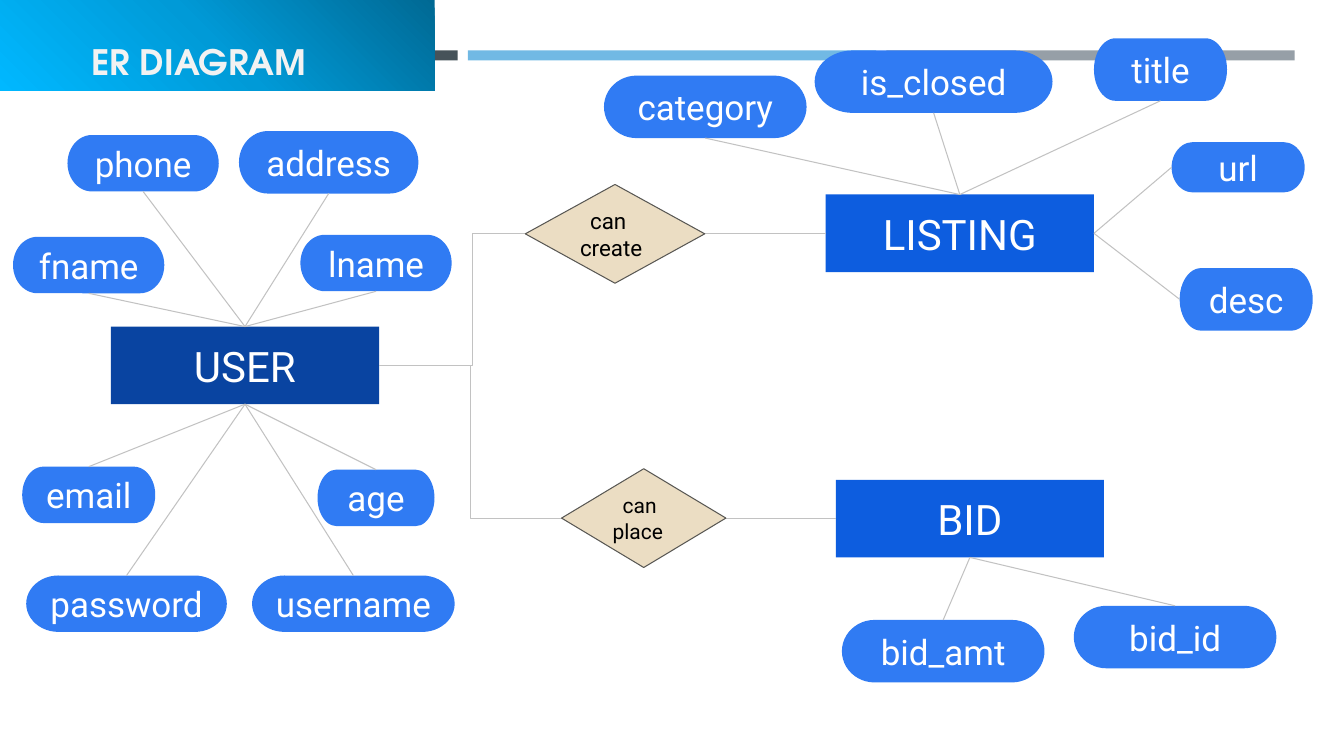
from copy import deepcopy

from lxml import etree
from pptx import Presentation
from pptx.dml.color import RGBColor
from pptx.enum.shapes import MSO_CONNECTOR, MSO_SHAPE
from pptx.enum.text import MSO_ANCHOR, PP_ALIGN
from pptx.oxml.ns import qn
from pptx.util import Inches, Pt

RECTANGLE = MSO_SHAPE.RECTANGLE
TERMINATOR = MSO_SHAPE.FLOWCHART_TERMINATOR
DIAMOND = MSO_SHAPE.DIAMOND
STRAIGHT, ELBOW = MSO_CONNECTOR.STRAIGHT, MSO_CONNECTOR.ELBOW
LEFT_ALIGN, CENTER = PP_ALIGN.LEFT, PP_ALIGN.CENTER
MIDDLE, BASE = MSO_ANCHOR.MIDDLE, MSO_ANCHOR.BOTTOM
TOP, LEFT, BOTTOM, RIGHT = range(4)
ROWS = 75
TITLE_ONLY = 5


def color(value):
    return RGBColor.from_string(value)


def write(box, text, size, font="Roboto", fill="FFFFFF", bold=False,
          align=CENTER, anchor=MIDDLE, insets=(0, 0, 0, 0), indent=0):
    frame = box.text_frame
    frame.word_wrap = True
    frame.vertical_anchor = anchor
    (frame.margin_left, frame.margin_top,
     frame.margin_right, frame.margin_bottom) = insets
    para = frame.paragraphs[0]
    para.alignment = align
    para.line_spacing = 1.0
    if indent:
        para._p.get_or_add_pPr().set("indent", str(indent))
    span = para.add_run()
    span.text = text
    span.font.size = Pt(size)
    span.font.name = font
    span.font.bold = bold
    span.font.color.rgb = color(fill)


class Diagram:
    attribute_fill = "307BF3"
    relation_fill = "EBDDC3"
    relation_line = "585753"
    link_line = "C2C2C2"
    line_width = Pt(0.75)

    def __init__(self, deck):
        self.cell = deck.slide_height / ROWS
        self.page = deck.slides.add_slide(deck.slide_layouts[TITLE_ONLY])

    def span(self, cells):
        return round(cells * self.cell)

    def shape(self, kind, place, fill, line=None):
        box = self.page.shapes.add_shape(kind, *map(self.span, place))
        box.shadow.inherit = False
        box.fill.solid()
        box.fill.fore_color.rgb = color(fill)
        if line:
            box.line.color.rgb = color(line)
            box.line.width = self.line_width
        else:
            box.line.fill.background()
        return box

    def title(self, text, place, stops):
        box = self.page.shapes.title
        box.left, box.top, box.width, box.height = map(self.span, place)
        box.fill.gradient()
        box.fill.gradient_angle = 225
        first = box.fill.gradient_stops[0]._gs
        first.addnext(deepcopy(first))
        for stop, (position, value) in zip(box.fill.gradient_stops, stops):
            stop.position = position
            stop.color.rgb = color(value)
        write(box, text, 25, font="TeX Gyre Adventor", fill="F2F2F2", bold=True,
              align=LEFT_ALIGN, anchor=BASE,
              insets=(self.span(9.1), 0, 0, self.span(0.8)))
        self.page.shapes._spTree.append(box._element)

    def entity(self, name, left, top, fill):
        box = self.shape(RECTANGLE, (left, top, 26.6, 7.7), fill)
        write(box, name, 30)
        return box

    def attribute(self, name, left, top, width, height):
        box = self.shape(TERMINATOR, (left, top, width, height), self.attribute_fill)
        write(box, name, 25)
        return box

    def relation(self, text, place, size):
        box = self.shape(DIAMOND, place, self.relation_fill, self.relation_line)
        inset = self.span(1)
        write(box, text, size, fill="000000", align=LEFT_ALIGN,
              insets=(inset,) * 4, indent=inset)

    def link(self, start, start_side, end, end_side, bend=None):
        kind = STRAIGHT if bend is None else ELBOW
        line = self.page.shapes.add_connector(kind, 0, 0, 0, 0)
        line.begin_connect(start, start_side)
        line.end_connect(end, end_side)
        line.line.color.rgb = color(self.link_line)
        line.line.width = self.line_width
        properties = line._element.spPr
        if bend is not None:
            guides = properties.find(qn("a:prstGeom")).find(qn("a:avLst"))
            etree.SubElement(guides, qn("a:gd"), name="adj1",
                             fmla=f"val {round(bend * 100000)}")
        etree.SubElement(properties, qn("a:effectLst"))


BARS = [(4.9, "465359"), (87.9, "969FA7"), (46.4, "71B9E4")]
TITLE_STOPS = [(0, "006994"), (0.5, "009AD7"), (1, "00B8FF")]
ENTITIES = {
    "USER": (11, 32.4, "0944A1"),
    "BID": (82.9, 47.6, "0D5DDF"),
    "LISTING": (81.9, 19.3, "0D5DDF"),
}
BENDS = {"LISTING": 0.21, "BID": 0.2}
RELATIONS = [
    ("can create", (52.1, 18.3, 17.8, 9.8), 16),
    ("can place", (55.7, 46.5, 16.3, 9.8), 15),
]
ATTRIBUTES = {
    ("USER", TOP, BOTTOM): [
        ("phone", 6.7, 13.4, 15, 5.6),
        ("address", 23.7, 13, 17.8, 6.2),
        ("fname", 1.3, 23.5, 15, 5.6),
        ("lname", 29.8, 23.3, 15, 5.6),
    ],
    ("USER", BOTTOM, TOP): [
        ("email", 2.2, 46.3, 13.2, 5.6),
        ("age", 31.5, 46.6, 11.6, 5.6),
        ("password", 2.6, 57.1, 19.9, 5.6),
        ("username", 25, 57.1, 20.1, 5.6),
    ],
    ("LISTING", TOP, BOTTOM): [
        ("category", 59.9, 7.5, 20.1, 6.2),
        ("is_closed", 80.8, 5, 23.6, 6.2),
        ("title", 108.5, 3.8, 13.2, 6.2),
    ],
    ("LISTING", RIGHT, LEFT): [
        ("url", 116.2, 14.1, 13.2, 5),
        ("desc", 117, 26.6, 13.2, 6.2),
    ],
    ("BID", BOTTOM, TOP): [
        ("bid_amt", 83.5, 61.5, 20.1, 6.2),
        ("bid_id", 106.5, 60.1, 20.1, 6.2),
    ],
}

deck = Presentation()
deck.slide_width, deck.slide_height = Inches(13.33), Inches(7.5)
diagram = Diagram(deck)

for left, fill in BARS:
    diagram.shape(RECTANGLE, (left, 5, 40.5, 1), fill)
diagram.title("ER DIAGRAM", (0, 0, 43.1, 9), TITLE_STOPS)

entities = {name: diagram.entity(name, *place) for name, place in ENTITIES.items()}
for name, bend in BENDS.items():
    diagram.link(entities["USER"], RIGHT, entities[name], LEFT, bend)
for relation in RELATIONS:
    diagram.relation(*relation)

for (owner, owner_side, side), attributes in ATTRIBUTES.items():
    for attribute in attributes:
        box = diagram.attribute(*attribute)
        diagram.link(entities[owner], owner_side, box, side)

deck.save("out.pptx")
